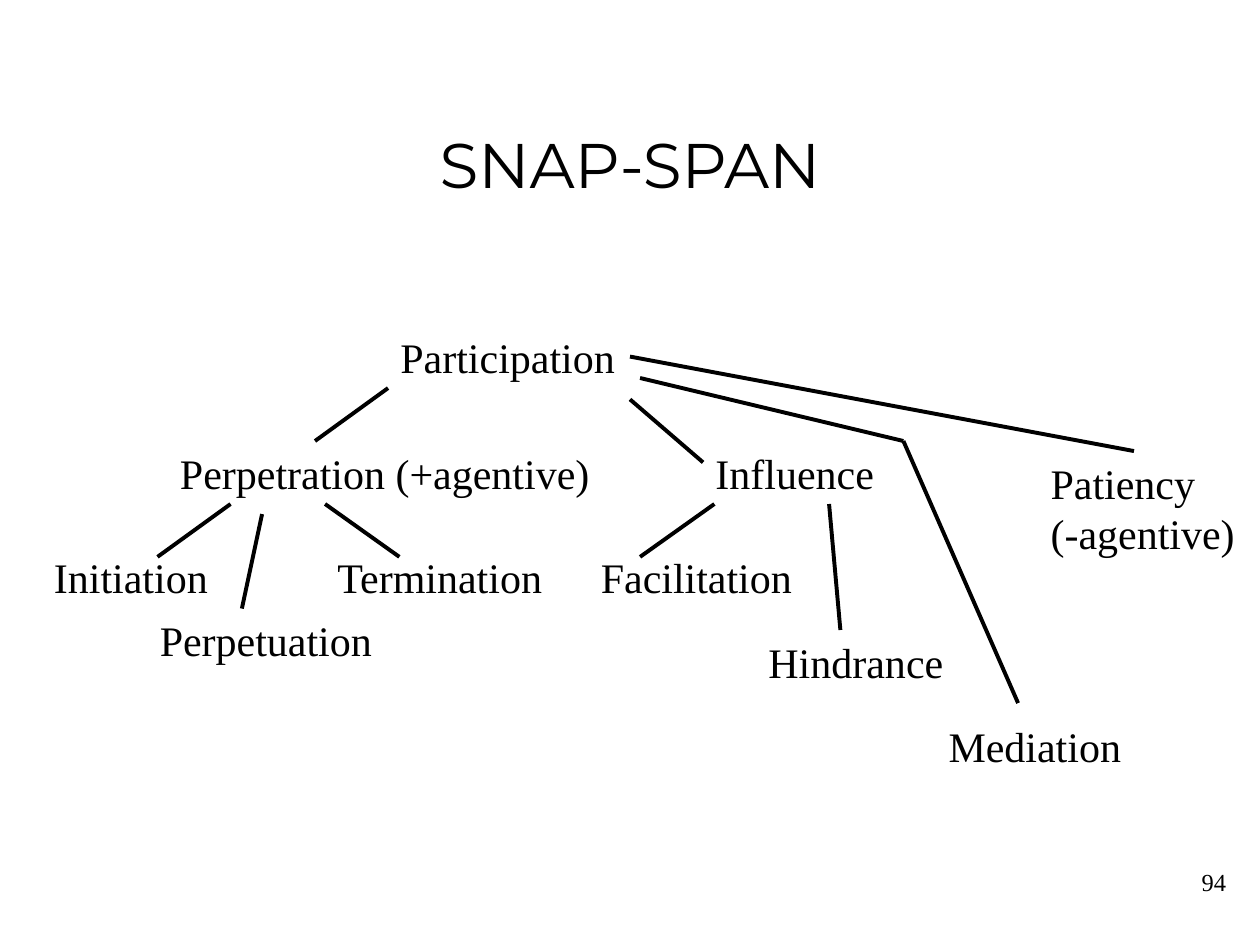
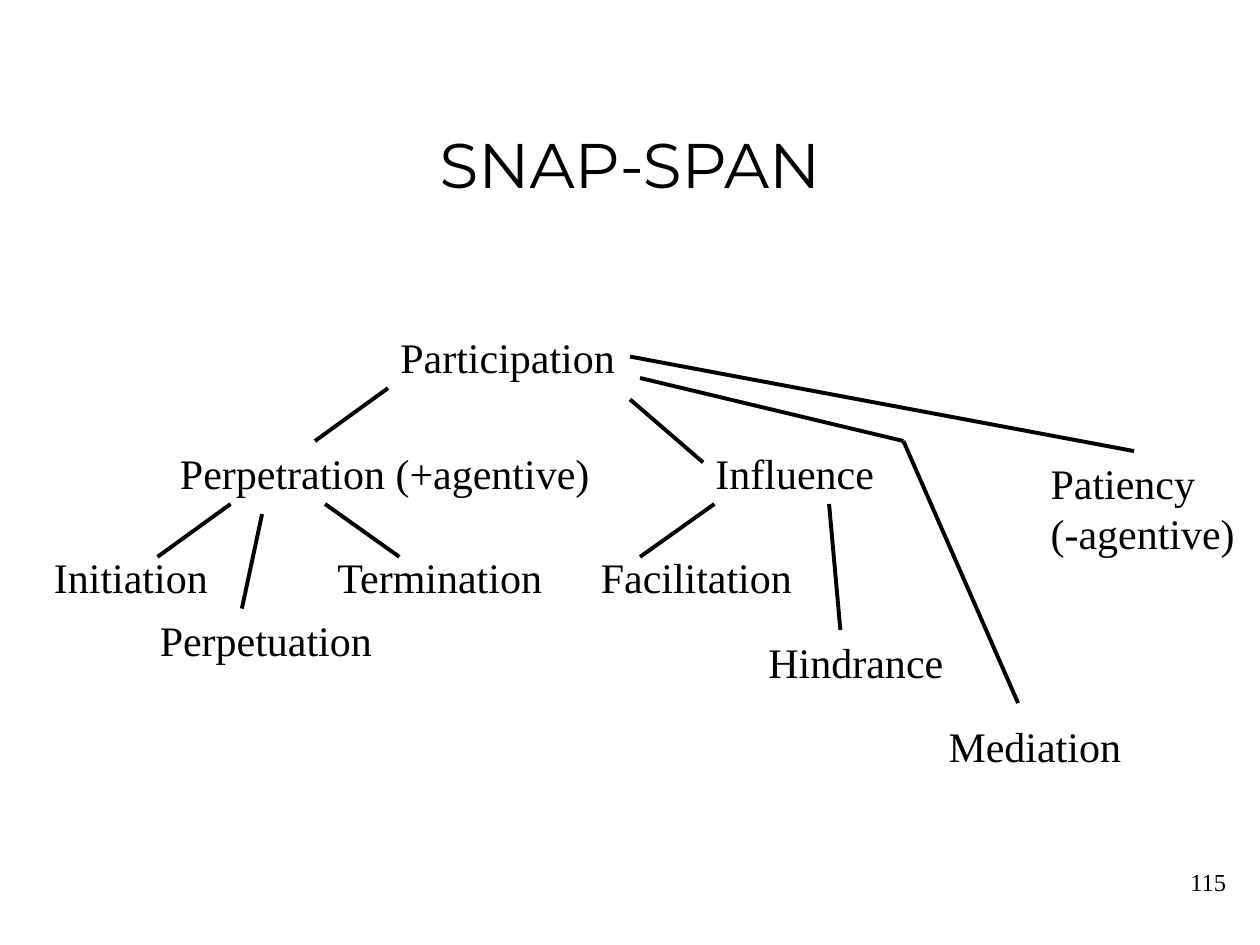
"""Build two slides that show the SNAP-SPAN participation tree."""
from dataclasses import dataclass

from lxml.etree import SubElement
from pptx import Presentation
from pptx.dml.color import RGBColor
from pptx.enum.shapes import MSO_CONNECTOR as Connector
from pptx.enum.text import MSO_ANCHOR as Anchor, MSO_AUTO_SIZE as AutoSize, PP_ALIGN as Align
from pptx.oxml.ns import qn
from pptx.util import Inches, Pt


@dataclass(frozen=True)
class Theme:
    """Colours, fonts and sizes shared by the slides."""

    ink: RGBColor = RGBColor(0, 0, 0)
    paper: RGBColor = RGBColor(255, 255, 255)
    title_font: str = "Montserrat"
    body_font: str = "Times New Roman"
    title_size: int = 36
    label_size: int = 24
    number_size: int = 14
    branch_width: float = 2.25


THEME = Theme()
TITLE = "SNAP-SPAN"
PAGE_NUMBERS = (94, 115)

LABELS = {
    "Participation": (3.08, 2.58, 1.9, 0.5),
    "Perpetration (+agentive)": (1.33, 3.5, 3.45, 0.5),
    "Initiation": (0.33, 4.33, 1.42, 0.5),
    "Perpetuation": (1.17, 4.83, 1.9, 0.5),
    "Termination": (2.58, 4.33, 1.85, 0.5),
    "Influence": (5.58, 3.5, 1.46, 0.5),
    "Facilitation": (4.67, 4.33, 1.72, 0.5),
    "Hindrance": (6, 5, 1.59, 0.5),
    "Mediation": (7.43, 5.67, 1.57, 0.5),
    "Patiency\n(-agentive)": (8.24, 3.58, 1.66, 0.9),
}

BRANCHES = (
    ((3.08, 3.08), (2.5, 3.5)),
    ((1.83, 4), (1.25, 4.42)),
    ((2.08, 4.08), (1.92, 4.83)),
    ((2.58, 4), (3.17, 4.42)),
    ((6.58, 4), (6.67, 5)),
    ((5.67, 4), (5.08, 4.42)),
    ((5, 3.17), (5.58, 3.67)),
    ((7.17, 3.5), (5.08, 3)),
    ((8.08, 5.58), (7.17, 3.5)),
    ((9, 3.58), (5, 2.83)),
)


def apply_format(target, values):
    """Set every named attribute on the target."""
    for name, value in values.items():
        setattr(target, name, value)


def add_text(page, text, place, font, size, align=Align.LEFT, **frame_format):
    """Add a text box with one paragraph for each line of text."""
    box = page.shapes.add_textbox(*map(Inches, place))
    frame = box.text_frame
    apply_format(frame, {"word_wrap": True, **frame_format})
    frame.text = text
    for para in frame.paragraphs:
        para.alignment = align
        for span in para.runs:
            apply_format(span.font, {"name": font, "size": Pt(size)})
            span.font.color.rgb = THEME.ink


def add_branch(page, start, end):
    """Draw one straight branch of the tree."""
    branch = page.shapes.add_connector(
        Connector.STRAIGHT, *map(Inches, (*start, *end)))
    branch.line.color.rgb = THEME.ink
    branch.line.width = Pt(THEME.branch_width)
    SubElement(branch.element.spPr, qn("a:effectLst"))


def add_title(page):
    """Add the centred slide title."""
    add_text(page, TITLE, (0.75, 0.67, 8.5, 1.25), THEME.title_font,
             THEME.title_size, Align.CENTER, vertical_anchor=Anchor.MIDDLE)


def add_tree(page):
    """Add the labels of the tree and the branches between them."""
    for text, place in LABELS.items():
        add_text(page, text, place, THEME.body_font, THEME.label_size,
                 word_wrap=False, auto_size=AutoSize.SHAPE_TO_FIT_TEXT)
    for start, end in BRANCHES:
        add_branch(page, start, end)


def add_page_number(page, number):
    """Add the page number at the lower right."""
    add_text(page, str(number), (7.75, 6.83, 2.08, 0.5), THEME.body_font,
             THEME.number_size, Align.RIGHT)


def main():
    """Build and save the deck."""
    deck = Presentation()
    apply_format(deck, {"slide_width": Inches(10), "slide_height": Inches(7.5)})
    for number in PAGE_NUMBERS:
        page = deck.slides.add_slide(deck.slide_layouts[6])
        page.background.fill.solid()
        page.background.fill.fore_color.rgb = THEME.paper
        add_title(page)
        add_tree(page)
        add_page_number(page, number)
    deck.save("out.pptx")


if __name__ == "__main__":
    main()
